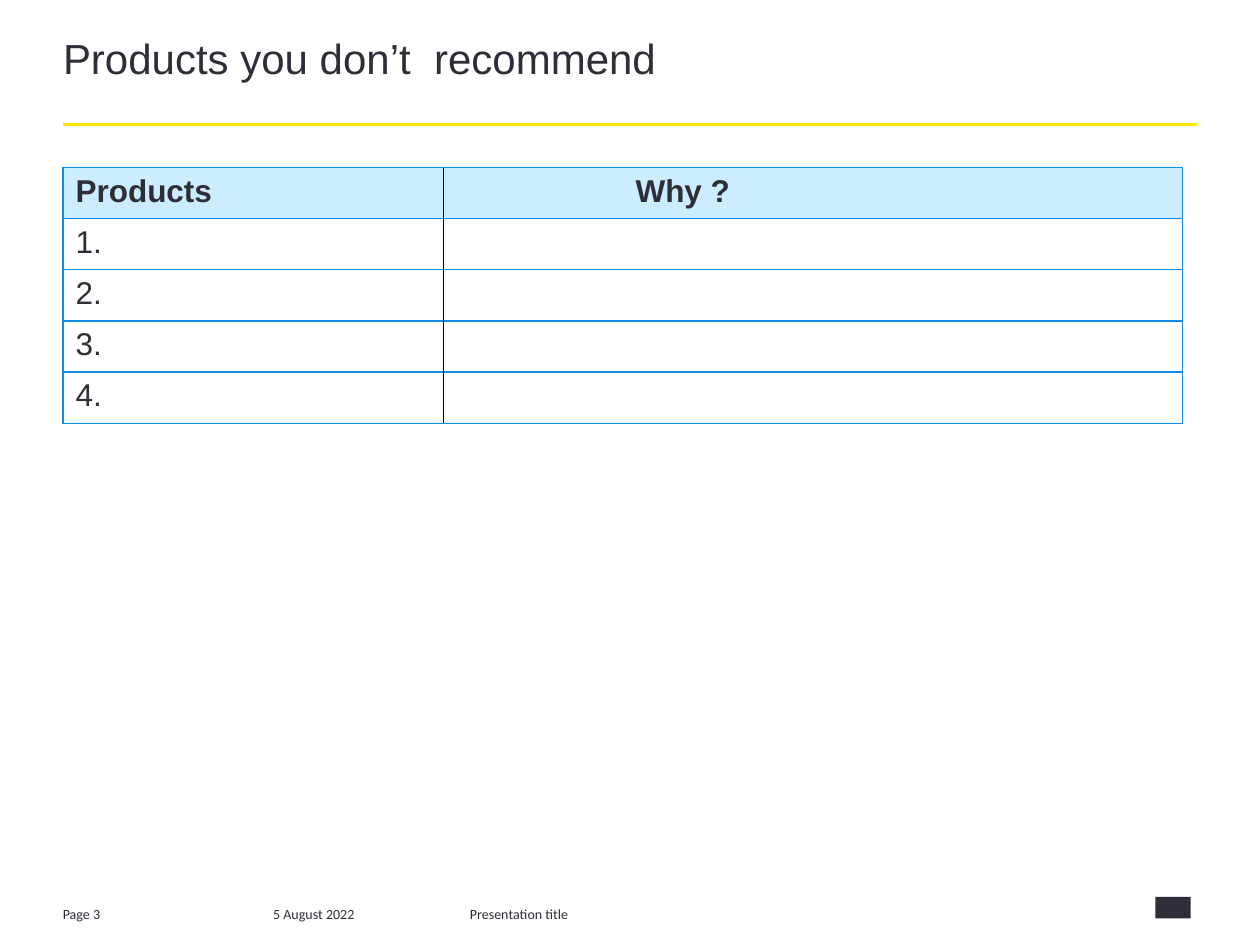
from dataclasses import dataclass

from lxml import etree
from pptx import Presentation
from pptx.dml.color import RGBColor
from pptx.enum import shapes, text
from pptx.oxml import ns
from pptx.util import Pt


@dataclass(frozen=True)
class Theme:
    ink: str = "2E2E38"
    accent: str = "FFE600"
    border: str = "128AE5"
    header: str = "CCECFF"
    divider: str = "000000"
    heading_font: str = "Arial"
    footer_font: str = "Calibri"
    title_size: float = 24
    table_size: float = 18
    footer_size: float = 8
    hairline: float = 0.75
    rule: float = 1.5


THEME = Theme()


def color(value):
    return RGBColor.from_string(value)


def format_runs(paragraph, font, size, bold=False):
    for run in paragraph.runs:
        run.font.name = font
        run.font.size = Pt(size)
        run.font.bold = bold
        run.font.color.rgb = color(THEME.ink)


def add_line(slide, start, end, line_color, width):
    line = slide.shapes.add_connector(
        shapes.MSO_CONNECTOR.STRAIGHT, *map(Pt, (*start, *end)))
    line.line.color.rgb = color(line_color)
    line.line.width = Pt(width)
    etree.SubElement(line._element.spPr, ns.qn("a:effectLst"))


def set_border(cell, side, visible):
    """Draw or clear one side (L, R, T or B) of a cell."""
    properties = cell._tc.get_or_add_tcPr()
    border = etree.SubElement(properties, ns.qn(f"a:ln{side}"),
                              w=str(Pt(THEME.hairline)))
    if visible:
        fill = etree.SubElement(border, ns.qn("a:solidFill"))
        etree.SubElement(fill, ns.qn("a:srgbClr"), val=THEME.border)
    else:
        etree.SubElement(border, ns.qn("a:noFill"))


def add_title(slide, box, wording):
    left, top, width, height = box
    title = slide.shapes.title
    title.left, title.top, title.width, title.height = map(Pt, box)
    frame = title.text_frame
    frame.text = wording
    frame.word_wrap = True
    frame.auto_size = text.MSO_AUTO_SIZE.NONE
    frame.vertical_anchor = text.MSO_ANCHOR.TOP
    frame.margin_left = frame.margin_right = Pt(0)
    frame.margin_top = frame.margin_bottom = Pt(0)
    paragraph = frame.paragraphs[0]
    paragraph.alignment = text.PP_ALIGN.LEFT
    paragraph.line_spacing = 0.85
    format_runs(paragraph, THEME.heading_font, THEME.title_size)

    # Rule below the title
    rule_y = top + height + 1.4
    add_line(slide, (left, rule_y), (left + width, rule_y),
             THEME.accent, THEME.rule)


def add_product_table(slide, box, rows, divider_x):
    left, top, width, height = box
    column_count = len(rows[0])
    table = slide.shapes.add_table(
        len(rows), column_count, *map(Pt, box)).table
    table.first_row = table.horz_banding = False
    for column in table.columns:
        column.width = Pt(width / column_count)

    for row_index, wordings in enumerate(rows):
        table.rows[row_index].height = Pt(height / len(rows))
        is_header = row_index == 0
        for column_index, wording in enumerate(wordings):
            cell = table.cell(row_index, column_index)
            set_border(cell, "L", column_index == 0)
            set_border(cell, "R", column_index == column_count - 1)
            set_border(cell, "T", True)
            set_border(cell, "B", True)
            if is_header:
                cell.fill.solid()
                cell.fill.fore_color.rgb = color(THEME.header)
            else:
                cell.fill.background()
            cell.text_frame.text = wording
            format_runs(cell.text_frame.paragraphs[0], THEME.heading_font,
                        THEME.table_size, bold=is_header)

    # Visible divider between products and reasons
    add_line(slide, (divider_x, top), (divider_x, top + height),
             THEME.divider, THEME.hairline)


def add_footer(slide, box, entries):
    """Place (wording, offset, width) entries along the footer box."""
    left, top, width, height = box
    for wording, offset, entry_width in entries:
        entry = slide.shapes.add_textbox(
            *map(Pt, (left + offset, top, entry_width, height)))
        frame = entry.text_frame
        frame.word_wrap = True
        frame.vertical_anchor = text.MSO_ANCHOR.MIDDLE
        frame.text = wording
        format_runs(frame.paragraphs[0], THEME.footer_font, THEME.footer_size)


def add_brand_mark(slide, box):
    """Plain block in the brand corner."""
    mark = slide.shapes.add_shape(
        shapes.MSO_SHAPE.RECTANGLE, *map(Pt, box))
    mark.shadow.inherit = False
    mark.fill.solid()
    mark.fill.fore_color.rgb = color(THEME.ink)
    mark.line.fill.background()


def main():
    presentation = Presentation()
    presentation.slide_width, presentation.slide_height = Pt(720), Pt(540)
    slide = presentation.slides.add_slide(presentation.slide_layouts[5])

    add_footer(slide, (28.8, 514.8, 476, 14.4), [
        ("Page 3", 0, 52.6),
        ("5 August 2022", 120.2, 93.6),
        ("Presentation title", 232.6, 243.4),
    ])
    add_brand_mark(slide, (660.2, 512.6, 20.2, 12.2))
    add_title(slide, (36, 23, 648, 46.8), "Products you don’t  recommend")
    rows = [("Products", "Why ?")]
    rows += [(f"{number}.", "") for number in range(1, 5)]
    add_product_table(slide, (36, 95.8, 640, 146), rows, divider_x=253.4)

    presentation.save("out.pptx")


if __name__ == "__main__":
    main()
